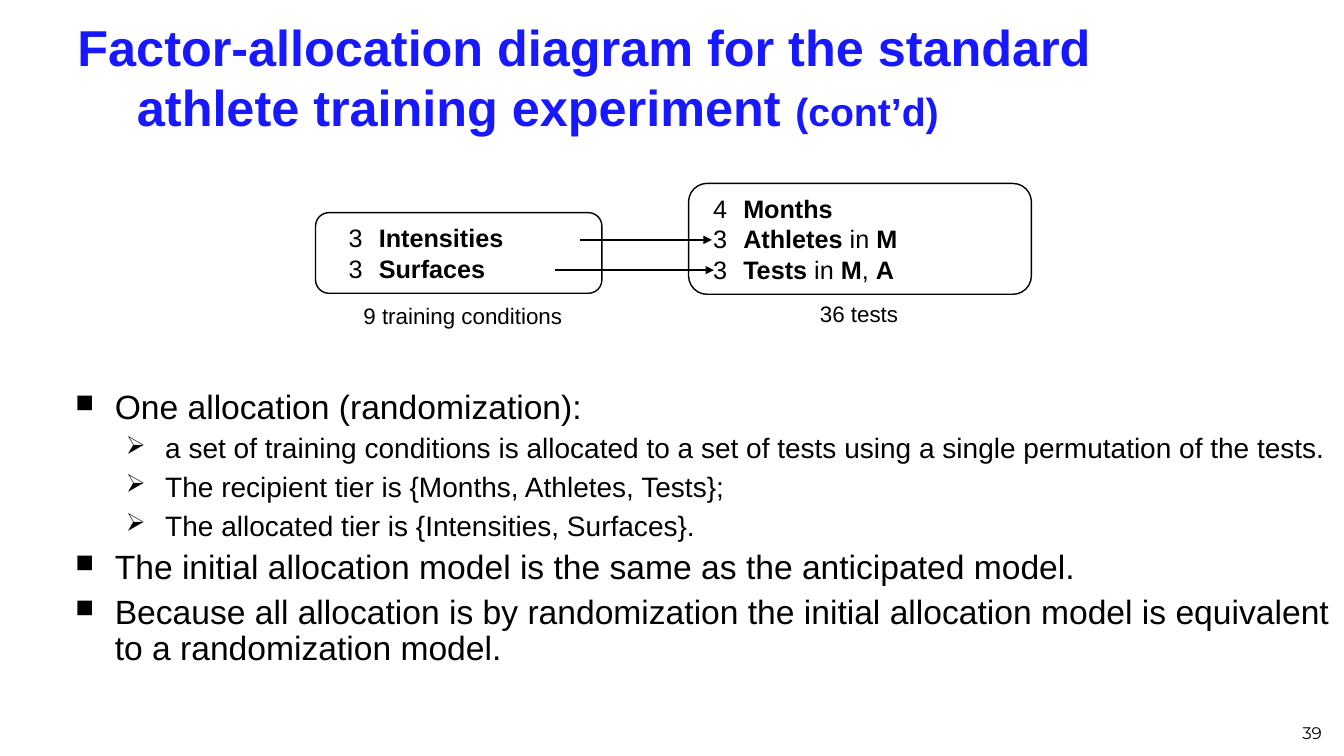
from dataclasses import dataclass

from lxml import etree
from pptx import Presentation
from pptx.dml.color import RGBColor
from pptx.enum.shapes import MSO_CONNECTOR, MSO_SHAPE
from pptx.enum.text import MSO_ANCHOR, PP_ALIGN
from pptx.oxml.ns import qn
from pptx.util import Inches, Pt

LEFT, CENTER, RIGHT = PP_ALIGN.LEFT, PP_ALIGN.CENTER, PP_ALIGN.RIGHT
TOP, MIDDLE, BOTTOM = MSO_ANCHOR.TOP, MSO_ANCHOR.MIDDLE, MSO_ANCHOR.BOTTOM
ROUNDED = MSO_SHAPE.ROUNDED_RECTANGLE
STRAIGHT = MSO_CONNECTOR.STRAIGHT


@dataclass(frozen=True)
class Theme:
    """Colours, fonts and type sizes of the slide."""
    ink: RGBColor = RGBColor(0, 0, 0)
    heading: RGBColor = RGBColor(0x18, 0x18, 0xFF)
    font: str = "Arial"
    number_font: str = "Montserrat"
    title: int = 36
    suffix: int = 28
    factor: int = 18
    caption: int = 16
    number: int = 12
    levels: tuple = (24, 20)


THEME = Theme()
BULLETS = (("■", 75, 0.39), ("➢", 90, 0.89))
POINTS = (
    (0, "One allocation (randomization):"),
    (1, "a set of training conditions is allocated to a set of tests "
        "using a single permutation of the tests."),
    (1, "The recipient tier is {Months, Athletes, Tests};"),
    (1, "The allocated tier is {Intensities, Surfaces}."),
    (0, "The initial allocation model is the same as the anticipated model."),
    (0, "Because all allocation is by randomization the initial allocation "
        "model is equivalent to a randomization model."),
)
CONDITIONS = (("3\t", "Intensities"), ("3\t", "Surfaces"))
TESTS = (
    ("4\t", "Months"),
    ("3\t", "Athletes ", "in ", "M"),
    ("3\t", "Tests ", "in ", "M", ", ", "A"),
)


def style(font, size, color=THEME.ink, name=THEME.font, bold=False):
    """Set the look of a paragraph or run font."""
    font.size, font.name, font.bold = Pt(size), name, bold
    font.color.rgb = color


def set_indent(para, margin, hanging):
    """Give a paragraph a left margin with a hanging first line."""
    properties = para._p.get_or_add_pPr()
    properties.set("marL", str(Inches(margin)))
    properties.set("indent", str(-Inches(hanging)))


def next_paragraph(frame, index):
    """Return the first paragraph of a frame, or a new one after it."""
    return frame.add_paragraph() if index else frame.paragraphs[0]


def add_text_box(page, area, anchor=TOP):
    """Add a wrapping text box and return its text frame."""
    frame = page.shapes.add_textbox(*map(Inches, area)).text_frame
    frame.word_wrap = True
    frame.vertical_anchor = anchor
    return frame


def add_label(page, area, text, size, align, anchor=TOP, name=THEME.font):
    """Add one aligned line of text."""
    para = add_text_box(page, area, anchor).paragraphs[0]
    para.text, para.alignment = text, align
    style(para.font, size, name=name)


def add_title(page):
    """Add the heading with its smaller suffix."""
    para = add_text_box(page, (0.67, 0.21, 12, 1.1), MIDDLE).paragraphs[0]
    set_indent(para, 0.59, 0.59)
    parts = (
        ("Factor-allocation diagram for the standard "
         "athlete training experiment ", THEME.title),
        ("(cont’d)", THEME.suffix),
    )
    for text, size in parts:
        span = para.add_run()
        span.text = text
        style(span.font, size, THEME.heading, bold=True)


def add_arrow(page, start, end, y):
    """Add a horizontal arrow pointing right."""
    ends = map(Inches, (start, y, end, y))
    arrow = page.shapes.add_connector(STRAIGHT, *ends)
    arrow.line.color.rgb = THEME.ink
    arrow.line.width = Pt(1.5)
    etree.SubElement(arrow.line._get_or_add_ln(), qn("a:tailEnd"),
                     type="triangle")
    etree.SubElement(arrow._element.spPr, qn("a:effectLst"))


def add_tier(page, area, factors, margin):
    """Add a rounded panel of factors, with every second span bold."""
    panel = page.shapes.add_shape(ROUNDED, *map(Inches, area))
    panel.shadow.inherit = False
    panel.fill.background()
    panel.line.color.rgb = THEME.ink
    panel.line.width = Pt(1)
    frame = panel.text_frame
    frame.vertical_anchor = MIDDLE
    for index, spans in enumerate(factors):
        para = next_paragraph(frame, index)
        para.alignment = LEFT
        set_indent(para, margin, 0.3)
        for place, text in enumerate(spans):
            span = para.add_run()
            span.text = text
            style(span.font, THEME.factor, bold=place % 2 == 1)


def add_bullet(para, mark, percent):
    """Give a paragraph a bullet in the ink colour."""
    properties = para._p.get_or_add_pPr()
    color = etree.SubElement(properties, qn("a:buClr"))
    etree.SubElement(color, qn("a:srgbClr"), val=str(THEME.ink))
    etree.SubElement(properties, qn("a:buSzPct"), val=str(percent * 1000))
    etree.SubElement(properties, qn("a:buChar"), char=mark)


def add_points(page):
    """Add the two-level bullet list."""
    frame = add_text_box(page, (0.65, 3.82, 12.65, 3.13))
    frame.margin_right = Inches(0.05)
    for index, (level, text) in enumerate(POINTS):
        mark, percent, margin = BULLETS[level]
        para = next_paragraph(frame, index)
        para.text, para.level = text, level
        para.line_spacing, para.space_before = 0.9, Pt(6)
        set_indent(para, margin, 0.39)
        add_bullet(para, mark, percent)
        style(para.font, THEME.levels[level])


def main():
    """Build the slide and save the deck."""
    deck = Presentation()
    deck.slide_width, deck.slide_height = Inches(13.33), Inches(7.5)
    page = deck.slides.add_slide(deck.slide_layouts[6])
    add_title(page)
    add_label(page, (10.1, 6.92, 3.11, 0.5), "39", THEME.number, RIGHT,
              BOTTOM, THEME.number_font)
    add_arrow(page, 5.75, 7.06, 2.38)
    add_arrow(page, 5.5, 7.08, 2.68)
    add_tier(page, (3.13, 2.11, 2.84, 0.8), CONDITIONS, 0.49)
    add_label(page, (3.08, 2.95, 3.02, 0.37), "9 training conditions",
              THEME.caption, CENTER)
    add_tier(page, (6.83, 1.82, 3.4, 1.1), TESTS, 0.39)
    add_label(page, (7.23, 2.93, 2.58, 0.37), "36 tests",
              THEME.caption, CENTER)
    add_points(page)
    deck.save("out.pptx")


if __name__ == "__main__":
    main()
